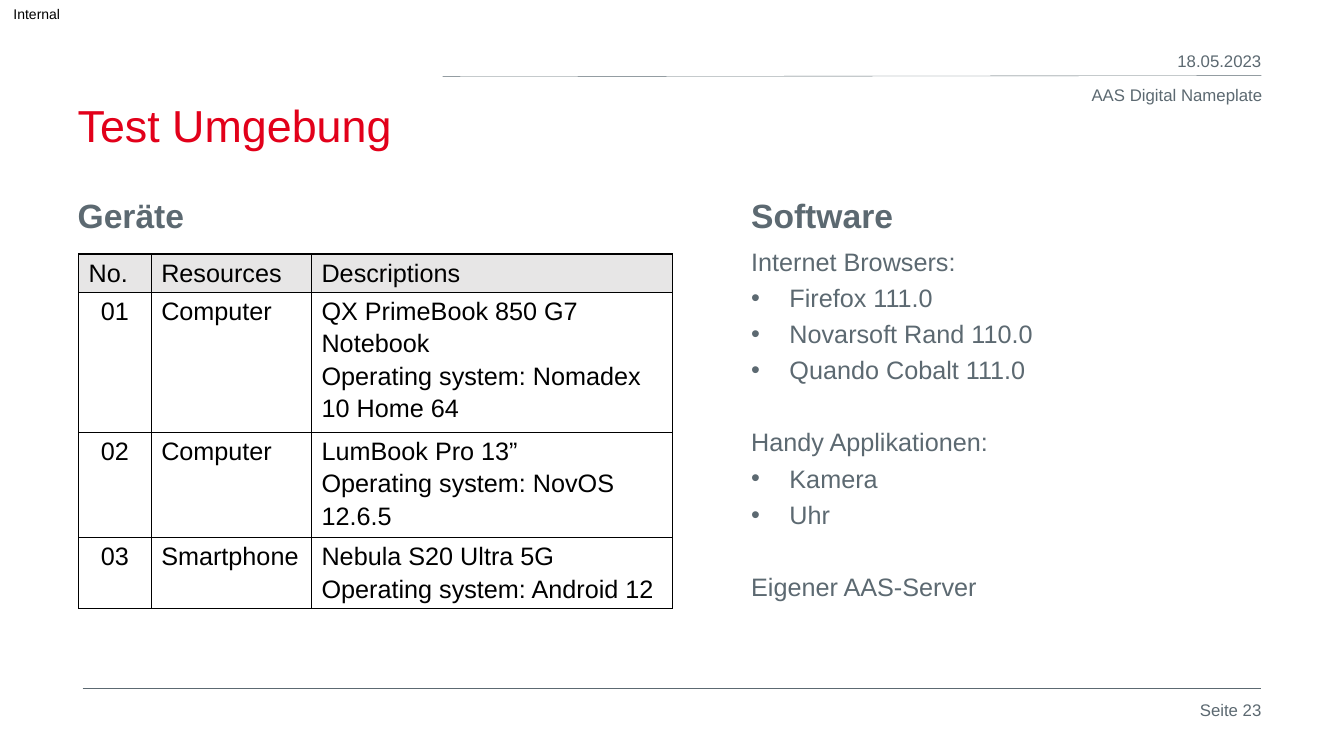
from dataclasses import dataclass

import pptx
import pptx.dml.color
import pptx.enum.shapes
import pptx.enum.text
import pptx.oxml
import pptx.oxml.ns
import pptx.util
from pptx.util import Inches

ALIGN = pptx.enum.text.PP_ALIGN
ANCHOR = pptx.enum.text.MSO_ANCHOR
FONT = "Arial"
COLORS = {
    "title": "E2001A",
    "text": "5C6971",
    "black": "000000",
    "header": "E7E6E6",
}
BULLET_INDENT = 0.38


@dataclass
class Label:
    text: str
    box: tuple[float, float, float, float]
    size: int = 12
    color: str = "text"
    align: ALIGN = ALIGN.RIGHT
    wrap: bool = True
    inset: float = 0.1
    anchor: ANCHOR = ANCHOR.TOP


@dataclass
class Rule:
    start: tuple[float, float]
    end: tuple[float, float]


@dataclass
class ListItem:
    text: str
    bullet: bool = False
    space_before: float = 4.3


LABELS = [
    Label("AAS Digital Nameplate", (8.52, 0.79, 4.1, 0.5), wrap=False),
    Label("Internal", (0, 0, 0.73, 0.28), size=10, color="black",
          align=ALIGN.CENTER, wrap=False, inset=0, anchor=ANCHOR.MIDDLE),
    Label("18.05.2023", (9.96, 0.45, 2.65, 0.31)),
    Label("Seite 23", (11.38, 6.89, 1.23, 0.5)),
]
RULES = [Rule((4.39, 0.76), (12.51, 0.75)), Rule((0.82, 6.83), (12.51, 6.83))]
HEADINGS = {1: ("Geräte", 0.67), 3: ("Software", 7.35)}
SOFTWARE = [
    ListItem("Internet Browsers:", space_before=0),
    ListItem("Firefox 111.0", bullet=True),
    ListItem("Novarsoft Rand 110.0", bullet=True),
    ListItem("Quando Cobalt 111.0", bullet=True),
    ListItem("Handy Applikationen:", space_before=29.7),
    ListItem("Kamera", bullet=True),
    ListItem("Uhr", bullet=True),
    ListItem("Eigener AAS-Server", space_before=29.7),
]
DEVICES = [
    ("No.", "Resources", "Descriptions"),
    ("01", "Computer", "QX PrimeBook 850 G7 Notebook\nOperating system: Nomadex 10 Home 64"),
    ("02", "Computer", "LumBook Pro 13”\nOperating system: NovOS 12.6.5"),
    ("03", "Smartphone", "Nebula S20 Ultra 5G\nOperating system: Android 12"),
]
COLUMN_WIDTHS = (0.72, 1.59, 3.58)
ROW_HEIGHTS = (0.38, 1.3, 0.98, 0.66)


def rgb(name: str) -> pptx.dml.color.RGBColor:
    return pptx.dml.color.RGBColor.from_string(COLORS[name])


def write(paragraph, text: str, *, size: float, color: str = "text", bold: bool = False,
          align: ALIGN = ALIGN.LEFT, space_before: float = 0, space_after: float = 0,
          line_spacing: float = 1.0) -> None:
    paragraph.text = text
    paragraph.alignment = align
    paragraph.space_before = pptx.util.Pt(space_before)
    paragraph.space_after = pptx.util.Pt(space_after)
    paragraph.line_spacing = line_spacing
    for run in paragraph.runs:
        run.font.name = FONT
        run.font.size = pptx.util.Pt(size)
        run.font.bold = bold
        run.font.color.rgb = rgb(color)


def place(shape, left: float, top: float, width: float, height: float, anchor: ANCHOR):
    shape.left, shape.top = Inches(left), Inches(top)
    shape.width, shape.height = Inches(width), Inches(height)
    frame = shape.text_frame
    frame.auto_size = pptx.enum.text.MSO_AUTO_SIZE.NONE
    frame.word_wrap = True
    frame.vertical_anchor = anchor
    return frame


def add_element(parent, tag: str, content: str = "", **attributes):
    values = "".join(f' {name}="{value}"' for name, value in attributes.items())
    namespace = pptx.oxml.ns.nsdecls("a")
    element = pptx.oxml.parse_xml(f"<a:{tag} {namespace}{values}>{content}</a:{tag}>")
    parent.append(element)
    return element


def add_rule(slide, rule: Rule) -> None:
    connector = slide.shapes.add_connector(
        pptx.enum.shapes.MSO_CONNECTOR.STRAIGHT,
        *(Inches(value) for value in rule.start + rule.end))
    connector.line.width = pptx.util.Pt(0.25)
    connector.line.color.rgb = rgb("text")
    add_element(connector.element.spPr, "effectLst")


def add_label(slide, label: Label) -> None:
    shape = slide.shapes.add_textbox(*(Inches(value) for value in label.box))
    frame = shape.text_frame
    frame.word_wrap = label.wrap
    frame.vertical_anchor = label.anchor
    frame.margin_left = frame.margin_right = Inches(label.inset)
    frame.margin_top = frame.margin_bottom = Inches(label.inset / 2)
    write(frame.paragraphs[0], label.text, size=label.size, color=label.color, align=label.align)


def fill_list(frame, items: list[ListItem]) -> None:
    for index, item in enumerate(items):
        paragraph = frame.add_paragraph() if index else frame.paragraphs[0]
        properties = paragraph._p.get_or_add_pPr()
        indent = Inches(BULLET_INDENT) if item.bullet else 0
        properties.set("marL", str(indent))
        properties.set("indent", str(-indent))
        if item.bullet:
            add_element(properties, "buFont", typeface=FONT)
            add_element(properties, "buChar", char="•")
        else:
            add_element(properties, "buNone")
        write(paragraph, item.text, size=18, space_before=item.space_before)


def format_cell(cell, text: str, align: ALIGN, header: bool) -> None:
    cell.margin_left = cell.margin_right = Inches(0.1)
    cell.margin_top, cell.margin_bottom = Inches(0.01), 0
    border = f'<a:solidFill><a:srgbClr val="{COLORS["black"]}"/></a:solidFill>'
    for side in ("lnL", "lnR", "lnT", "lnB"):
        add_element(cell._tc.get_or_add_tcPr(), side, border, w=pptx.util.Pt(1))
    if header:
        cell.fill.solid()
        cell.fill.fore_color.rgb = rgb("header")
    else:
        cell.fill.background()
    write(cell.text_frame.paragraphs[0], text, size=18, color="black", align=align,
          space_after=8, line_spacing=1.15)


def add_device_table(slide) -> None:
    frame = slide.shapes.add_table(
        len(DEVICES), len(COLUMN_WIDTHS), Inches(0.78), Inches(2.52),
        Inches(sum(COLUMN_WIDTHS)), Inches(sum(ROW_HEIGHTS)))
    table = frame.table
    table.first_row = table.horz_banding = False
    for column, width in zip(table.columns, COLUMN_WIDTHS):
        column.width = Inches(width)
    for row, height in zip(table.rows, ROW_HEIGHTS):
        row.height = Inches(height)
    body_aligns = (ALIGN.CENTER, ALIGN.JUSTIFY, ALIGN.LEFT)
    for row_index, texts in enumerate(DEVICES):
        header = row_index == 0
        for column_index, text in enumerate(texts):
            align = ALIGN.JUSTIFY if header else body_aligns[column_index]
            format_cell(table.cell(row_index, column_index), text, align, header)


def main() -> None:
    presentation = pptx.Presentation()
    presentation.slide_width, presentation.slide_height = Inches(13.33), Inches(7.5)
    slide = presentation.slides.add_slide(presentation.slide_layouts.get_by_name("Comparison"))
    placeholders = {shape.placeholder_format.idx: shape for shape in slide.placeholders}
    unused = placeholders[2].element
    unused.getparent().remove(unused)

    for rule in RULES:
        add_rule(slide, rule)
    title = place(placeholders[0], 0.67, 0.3, 12, 1.25, ANCHOR.BOTTOM)
    write(title.paragraphs[0], "Test Umgebung", size=32, color="title")
    for index, (text, left) in HEADINGS.items():
        heading = place(placeholders[index], left, 1.68, 5.89, 0.7, ANCHOR.BOTTOM)
        write(heading.paragraphs[0], text, size=24, bold=True)
    fill_list(place(placeholders[4], 7.35, 2.39, 5.89, 4.32, ANCHOR.TOP), SOFTWARE)
    for label in LABELS:
        add_label(slide, label)
    add_device_table(slide)
    presentation.save("out.pptx")


if __name__ == "__main__":
    main()
